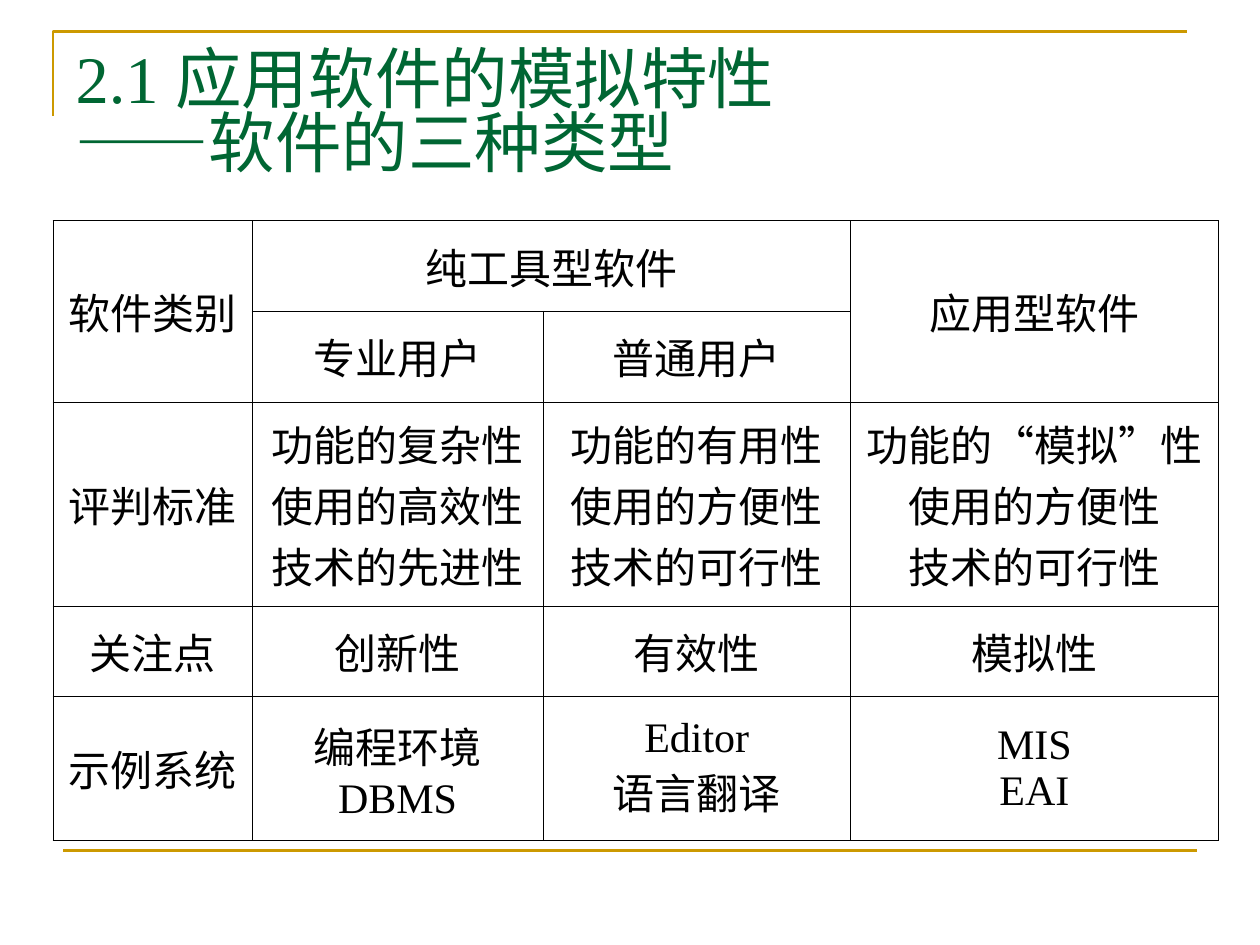
from itertools import groupby

from lxml import etree
from pptx import Presentation
from pptx.dml.color import RGBColor
from pptx.enum.shapes import MSO_CONNECTOR
from pptx.enum.text import MSO_ANCHOR, MSO_AUTO_SIZE, PP_ALIGN
from pptx.oxml.ns import qn
from pptx.util import Inches, Pt

LEFT, CENTER = PP_ALIGN.LEFT, PP_ALIGN.CENTER
MIDDLE = MSO_ANCHOR.MIDDLE
NO_FIT = MSO_AUTO_SIZE.NONE
STRAIGHT = MSO_CONNECTOR.STRAIGHT
GOLD, GREEN, BLACK = "CC9900", "006633", "000000"
MARKS = "“”—"
COLS = [1.58, 2.31, 2.44, 2.92]
ROWS = [0.72, 0.72, 1.62, 0.72, 1.14]
CELLS = [
    ["软件类别", "纯工具型软件", "", "应用型软件"],
    ["", "专业用户", "普通用户", ""],
    ["评判标准", "功能的复杂性\n使用的高效性\n技术的先进性",
     "功能的有用性\n使用的方便性\n技术的可行性",
     "功能的“模拟”性\n使用的方便性\n技术的可行性"],
    ["关注点", "创新性", "有效性", "模拟性"],
    ["示例系统", "编程环境\nDBMS", "Editor\n语言翻译", "MIS\nEAI"],
]
SPANS = [((0, 0), (1, 0)), ((0, 1), (0, 2)), ((0, 3), (1, 3))]


def color(code):
    """Turn a hex string into a colour."""
    return RGBColor.from_string(code)


def style(para, size, code, align):
    """Set the font and alignment of a paragraph."""
    para.font.size = Pt(size)
    para.font.color.rgb = color(code)
    para.font.name = "Times New Roman"
    para.alignment = align


def add_runs(para, text):
    """Add text, with quotes and dashes in Arial."""
    for mark, chars in groupby(text, lambda char: char in MARKS):
        run = para.add_run()
        run.text = "".join(chars)
        if mark:
            run.font.name = "Arial"


def add_title(slide, lines):
    """Place the title and fill its lines."""
    title = slide.shapes.title
    title.left, title.top = Inches(0.5), Inches(0.3)
    title.width, title.height = Inches(9), Inches(1.25)
    frame = title.text_frame
    frame.auto_size = NO_FIT
    frame.word_wrap = True
    frame.vertical_anchor = MIDDLE
    para = frame.paragraphs[0]
    style(para, 38, GREEN, LEFT)
    para.line_spacing = 0.8
    for num, line in enumerate(lines):
        if num:
            para.add_line_break()
        add_runs(para, line)


def add_corner(slide):
    """Draw the angled rule at the top left."""
    pen = slide.shapes.build_freeform(
        Inches(0.42), Inches(0.92), scale=1.0)
    pen.add_line_segments(
        [(Inches(0.42), Inches(0.25)), (Inches(9.42), Inches(0.25))],
        close=False)
    shape = pen.convert_to_shape()
    shape.shadow.inherit = False
    shape.fill.background()
    shape.line.color.rgb = color(GOLD)
    shape.line.width = Pt(1.5)


def add_rule(slide):
    """Draw the rule below the table."""
    line = slide.shapes.add_connector(
        STRAIGHT, Inches(0.5), Inches(6.75), Inches(9.5), Inches(6.75))
    line.line.color.rgb = color(GOLD)
    line.line.width = Pt(1.5)
    etree.SubElement(line._element.spPr, qn("a:effectLst"))


def add_edges(cell):
    """Give a cell thin black borders and no fill."""
    props = cell._tc.get_or_add_tcPr()
    for side in ("lnL", "lnR", "lnT", "lnB"):
        edge = etree.SubElement(props, qn("a:" + side), w=str(Pt(0.45)))
        fill = etree.SubElement(edge, qn("a:solidFill"))
        etree.SubElement(fill, qn("a:srgbClr"), val=BLACK)
    cell.fill.background()


def fill_cell(cell, text):
    """Write centred lines into a cell."""
    cell.vertical_anchor = MIDDLE
    frame = cell.text_frame
    for num, line in enumerate(text.split("\n")):
        para = frame.add_paragraph() if num else frame.paragraphs[0]
        style(para, 24, BLACK, CENTER)
        add_runs(para, line)


def add_grid(slide):
    """Build the table of software types."""
    table = slide.shapes.add_table(
        len(ROWS), len(COLS), Inches(0.42), Inches(1.75),
        Inches(sum(COLS)), Inches(sum(ROWS))).table
    table.first_row = table.horz_banding = False
    for col, width in zip(table.columns, COLS):
        col.width = Inches(width)
    for row, height, texts in zip(table.rows, ROWS, CELLS):
        row.height = Inches(height)
        for cell, text in zip(row.cells, texts):
            add_edges(cell)
            fill_cell(cell, text)
    for first, last in SPANS:
        table.cell(*first).merge(table.cell(*last))


def main():
    """Build and save the slide."""
    deck = Presentation()
    deck.slide_width, deck.slide_height = Inches(10), Inches(7.5)
    slide = deck.slides.add_slide(deck.slide_layouts[5])
    add_corner(slide)
    add_rule(slide)
    add_title(slide, ["2.1 应用软件的模拟特性", "——软件的三种类型"])
    add_grid(slide)
    deck.save("out.pptx")


main()
